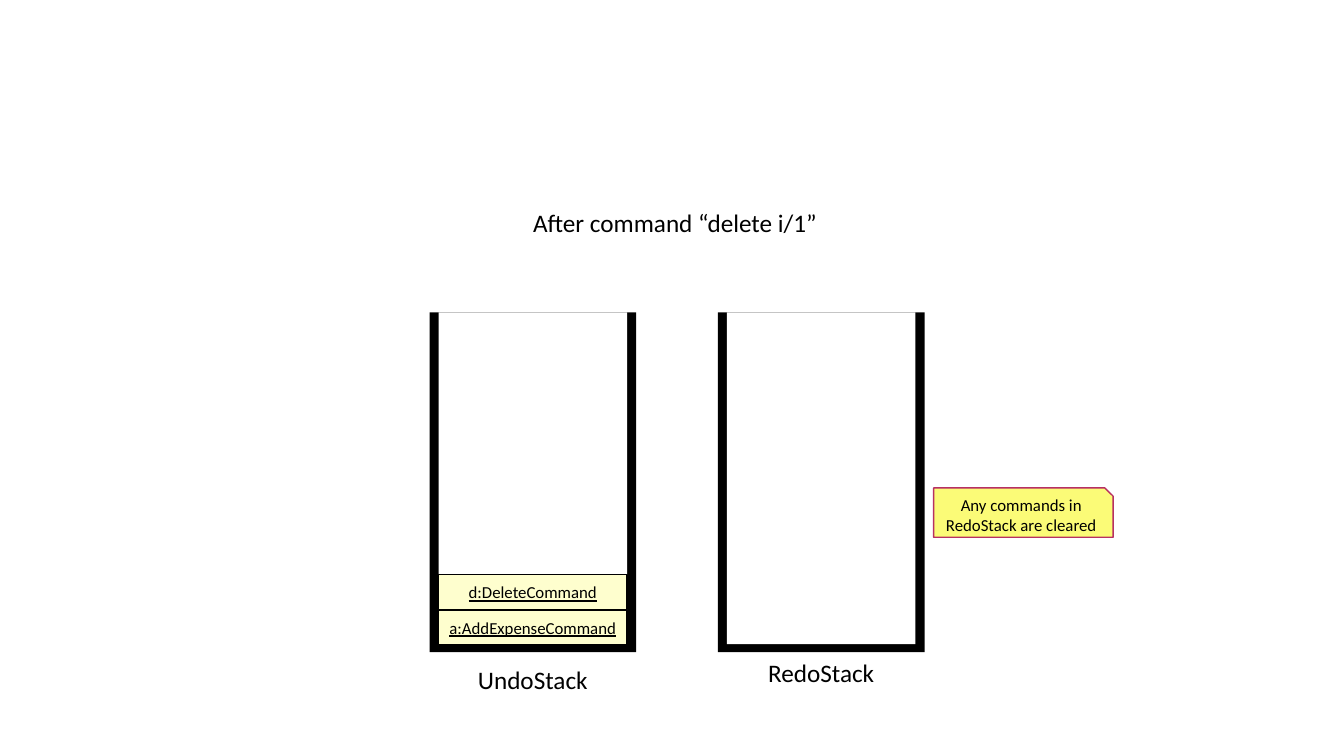
import pptx
import pptx.dml.color
import pptx.enum.shapes
import pptx.enum.text
import pptx.util

Inches = pptx.util.Inches
Pt = pptx.util.Pt
RGBColor = pptx.dml.color.RGBColor
Shape = pptx.enum.shapes.MSO_SHAPE
Anchor = pptx.enum.text.MSO_ANCHOR
Align = pptx.enum.text.PP_ALIGN
AutoSize = pptx.enum.text.MSO_AUTO_SIZE

BLACK = RGBColor(0x00, 0x00, 0x00)
WHITE = RGBColor(0xFF, 0xFF, 0xFF)
COMMAND_FILL = RGBColor(0xFE, 0xFE, 0xCE)
NOTE_FILL = RGBColor(0xFB, 0xFB, 0x77)
NOTE_LINE = RGBColor(0xB8, 0x30, 0x62)

STACK_TOP = 3.1
STACK_WIDTH = 2.05
STACK_HEIGHT = 3.37
WALL = 0.09
FLOOR = 0.08
COMMAND_HEIGHT = 0.35
LABEL_WIDTH = 1.3
LABEL_HEIGHT = 0.4


def write(shape, text, size, underline=False):
    para = shape.text_frame.paragraphs[0]
    para.alignment = Align.CENTER
    span = para.add_run()
    span.text = text
    span.font.name = "Calibri"
    span.font.size = Pt(size)
    span.font.color.rgb = BLACK
    if underline:
        span.font.underline = True


def add_block(shapes, kind, box, fill, line=None):
    block = shapes.add_shape(kind, *map(Inches, box))
    block.shadow.inherit = False
    block.fill.solid()
    block.fill.fore_color.rgb = fill
    if line is None:
        block.line.fill.background()
    else:
        block.line.color.rgb = line
        block.line.width = Pt(1)
    block.text_frame.word_wrap = True
    block.text_frame.vertical_anchor = Anchor.MIDDLE
    return block


def add_label(page, box, text, wrap):
    label = page.shapes.add_textbox(*map(Inches, box))
    label.text_frame.word_wrap = wrap
    label.text_frame.auto_size = AutoSize.SHAPE_TO_FIT_TEXT
    write(label, text, 18)


def add_stack(page, left, name, label_gap, commands):
    inner_left = left + WALL
    inner_width = STACK_WIDTH - 2 * WALL
    inner_height = STACK_HEIGHT - FLOOR
    group = page.shapes.add_group_shape()
    add_block(group.shapes, Shape.RECTANGLE,
              (left, STACK_TOP, STACK_WIDTH, STACK_HEIGHT), BLACK)
    add_block(group.shapes, Shape.RECTANGLE,
              (inner_left, STACK_TOP, inner_width, inner_height), WHITE)

    floor_top = STACK_TOP + inner_height + 0.01
    for level, command in enumerate(commands, start=1):
        box = (inner_left, floor_top - level * COMMAND_HEIGHT, inner_width, COMMAND_HEIGHT)
        block = add_block(page.shapes, Shape.RECTANGLE, box, COMMAND_FILL, BLACK)
        write(block, command, 12, underline=True)

    label_left = left + (STACK_WIDTH - LABEL_WIDTH) / 2
    label_top = STACK_TOP + STACK_HEIGHT + label_gap
    add_label(page, (label_left, label_top, LABEL_WIDTH, LABEL_HEIGHT), name, False)


def add_note(page, box, text):
    note = add_block(page.shapes, Shape.SNIP_1_RECTANGLE, box, NOTE_FILL, NOTE_LINE)
    write(note, text, 12)


def main():
    deck = pptx.Presentation()
    deck.slide_width = Inches(13.33)
    deck.slide_height = Inches(7.5)
    page = deck.slides.add_slide(deck.slide_layouts[6])

    add_label(page, (4.22, 2.01, 4.95, LABEL_HEIGHT), "After command “delete i/1”", True)
    add_stack(page, 4.26, "UndoStack", 0.07, ["a:AddExpenseCommand", "d:DeleteCommand"])
    add_stack(page, 7.12, "RedoStack", 0, [])
    add_note(page, (9.26, 4.84, 1.78, 0.49), "Any commands in RedoStack are cleared")

    deck.save("out.pptx")


if __name__ == "__main__":
    main()
